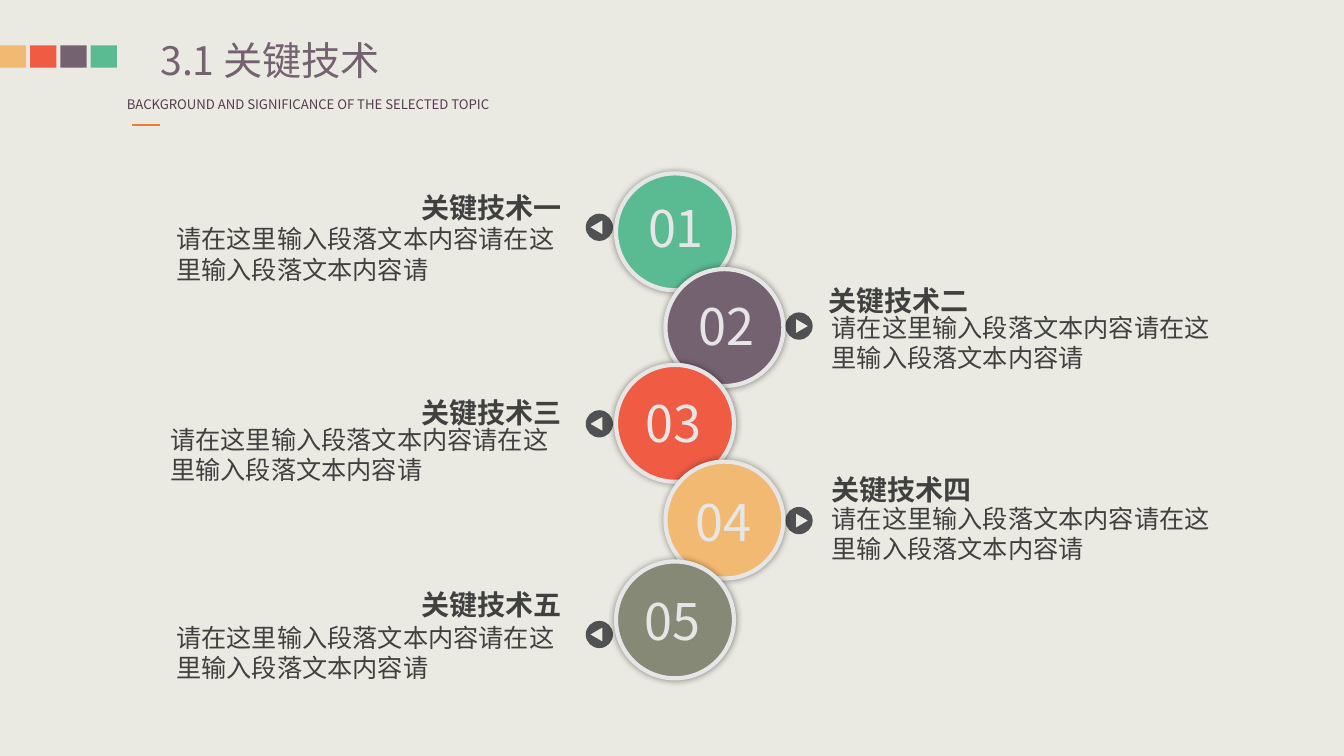
from dataclasses import dataclass

from lxml import etree
from pptx import Presentation
from pptx.dml.color import RGBColor
from pptx.enum.shapes import MSO_CONNECTOR, MSO_SHAPE
from pptx.enum.text import MSO_ANCHOR, MSO_AUTO_SIZE, PP_ALIGN
from pptx.oxml.ns import qn
from pptx.util import Inches, Pt

RECTANGLE = MSO_SHAPE.RECTANGLE
OVAL = MSO_SHAPE.OVAL
STRAIGHT = MSO_CONNECTOR.STRAIGHT
TOP = MSO_ANCHOR.TOP
NO_AUTOFIT = MSO_AUTO_SIZE.NONE
LEFT, CENTER, RIGHT = PP_ALIGN.LEFT, PP_ALIGN.CENTER, PP_ALIGN.RIGHT

BACKGROUND = RGBColor(0xEB, 0xEA, 0xE2)
GREEN = RGBColor(0x5A, 0xBB, 0x93)
PURPLE = RGBColor(0x75, 0x62, 0x71)
RED = RGBColor(0xEF, 0x5B, 0x43)
YELLOW = RGBColor(0xF2, 0xB9, 0x73)
OLIVE = RGBColor(0x85, 0x89, 0x76)
PLUM = RGBColor(0x54, 0x3C, 0x4F)
ORANGE = RGBColor(0xED, 0x7D, 0x31)
LIGHT = RGBColor(0xE7, 0xE6, 0xE6)
BADGE = RGBColor(0x50, 0x51, 0x53)
TEXT = RGBColor(0x40, 0x40, 0x40)

FONT = "Noto Sans CJK SC"
LINE_SPACING = 1.2
BODY = "请在这里输入段落文本内容请在这里输入段落文本内容请"
CIRCLE_WIDTH, CIRCLE_HEIGHT = 1.17, 1.16
BADGE_SIZE = 0.27
ARC_FACTOR = 0.55


@dataclass
class Technology:
    heading: str
    color: RGBColor
    circle_top: float
    number_offset: tuple
    badge_top: float
    heading_box: tuple
    body_box: tuple


TECHNOLOGIES = [
    Technology("关键技术一", GREEN, 1.72, (0.18, 0.19), 2.12,
               (2.13, 1.84, 3.54, 0.44), (1.65, 2.17, 4.1, 0.71)),
    Technology("关键技术二", PURPLE, 2.67, (0.19, 0.21), 3.1,
               (8.12, 2.76, 4.26, 0.44), (8.15, 3.05, 4.05, 0.71)),
    Technology("关键技术三", RED, 3.62, (0.16, 0.22), 4.07,
               (2.13, 3.87, 3.54, 0.44), (1.59, 4.16, 4.08, 0.71)),
    Technology("关键技术四", YELLOW, 4.58, (0.16, 0.24), 5.03,
               (8.15, 4.64, 3.82, 0.44), (8.15, 4.94, 4.05, 0.71)),
    Technology("关键技术五", OLIVE, 5.57, (0.15, 0.24), 6.16,
               (2.13, 5.78, 3.54, 0.44), (1.65, 6.12, 4.1, 0.71)),
]


def write_text(shape, text, size, color, align=LEFT, bold=False):
    frame = shape.text_frame
    frame.word_wrap = True
    frame.auto_size = NO_AUTOFIT
    frame.vertical_anchor = TOP
    frame.text = text
    paragraph = frame.paragraphs[0]
    paragraph.alignment = align
    paragraph.line_spacing = Pt(round(size * LINE_SPACING, 1))
    font = paragraph.font
    font.size = Pt(size)
    font.bold = bold
    font.color.rgb = color
    font.name = FONT
    defaults = paragraph._p.pPr.find(qn("a:defRPr"))
    etree.SubElement(defaults, qn("a:ea"), typeface=FONT)


def add_text(slide, box, text, size, color, **style):
    text_box = slide.shapes.add_textbox(*map(Inches, box))
    write_text(text_box, text, size, color, **style)


def add_filled_shape(slide, kind, box, color):
    shape = slide.shapes.add_shape(kind, *map(Inches, box))
    shape.shadow.inherit = False
    shape.fill.solid()
    shape.fill.fore_color.rgb = color
    shape.line.fill.background()
    return shape


def add_soft_shadow(shape):
    effects = shape._element.spPr.find(qn("a:effectLst"))
    shadow = etree.SubElement(effects, qn("a:outerShdw"), blurRad=str(Pt(5)),
                              dist="0", dir="0", rotWithShape="0")
    black = etree.SubElement(shadow, qn("a:srgbClr"), val="000000")
    etree.SubElement(black, qn("a:alpha"), val="40000")


def add_header(slide, left, top):
    for index, color in enumerate([YELLOW, RED, PURPLE, GREEN]):
        add_filled_shape(slide, RECTANGLE,
                         (left + 0.3 * index, top + 0.09, 0.26, 0.22), color)
    title = slide.shapes.title
    title.left, title.top = Inches(left + 1.59), Inches(top)
    title.width, title.height = Inches(3.99), Inches(0.47)
    write_text(title, "3.1 关键技术", 28, PURPLE)
    frame = title.text_frame
    frame.margin_left = frame.margin_right = 0
    frame.margin_top = frame.margin_bottom = 0
    add_text(slide, (left + 1.16, top + 0.55, 4.07, 0.26),
             "BACKGROUND AND SIGNIFICANCE OF THE SELECTED TOPIC", 9.4, PLUM)
    rule_top = Inches(top + 0.88)
    rule = slide.shapes.add_connector(STRAIGHT, Inches(left + 1.31), rule_top,
                                      Inches(left + 1.59), rule_top)
    rule.line.color.rgb = ORANGE
    rule.line.width = Pt(1.5)
    etree.SubElement(rule._element.spPr, qn("a:effectLst"))


def round_corners_to_circle(badge, radius):
    outline = badge._element.spPr.find(".//" + qn("a:path"))
    start = outline.find(qn("a:moveTo")).find(qn("a:pt"))
    for segment in outline.findall(qn("a:lnTo"))[:4]:
        end = segment.find(qn("a:pt"))
        curve = etree.Element(qn("a:cubicBezTo"))
        for near, far in [(start, end), (end, start)]:
            control = {axis: str(round(int(near.get(axis)) + ARC_FACTOR
                                       * (int(far.get(axis)) - radius)))
                       for axis in ("x", "y")}
            etree.SubElement(curve, qn("a:pt"), control)
        curve.append(end)
        outline.replace(segment, curve)
        start = end


def add_arrow_badge(slide, left, top, direction):
    radius = Inches(BADGE_SIZE / 2)
    center_x, center_y = Inches(left) + radius, Inches(top) + radius
    quarters = [(center_x + radius * x, center_y + radius * y)
                for x, y in [(1, 0), (0, 1), (-1, 0), (0, -1), (1, 0)]]
    arrow = [(center_x + Inches(direction * x), center_y + Inches(y))
             for x, y in [(0.09, 0), (-0.03, 0.07), (-0.03, -0.07)]]
    builder = slide.shapes.build_freeform(*quarters[0])
    builder.add_line_segments(quarters[1:])
    builder.move_to(*arrow[0])
    builder.add_line_segments(arrow[1:])
    badge = builder.convert_to_shape()
    round_corners_to_circle(badge, radius)
    badge.shadow.inherit = False
    badge.fill.solid()
    badge.fill.fore_color.rgb = BADGE
    badge.line.fill.background()


def add_number_circle(slide, left, technology, number):
    top = technology.circle_top
    circle = add_filled_shape(slide, OVAL, (left, top, CIRCLE_WIDTH, CIRCLE_HEIGHT),
                              technology.color)
    circle.line.color.rgb = LIGHT
    circle.line.width = Pt(3)
    add_soft_shadow(circle)
    offset_x, offset_y = technology.number_offset
    add_text(slide, (left + offset_x, top + offset_y, 0.83, 0.71),
             f"{number:02}", 36, LIGHT, align=CENTER)


def add_technology(slide, technology, number):
    on_left = number % 2 == 1
    add_arrow_badge(slide, 5.81 if on_left else 7.79, technology.badge_top,
                    -1 if on_left else 1)
    add_number_circle(slide, 6.11 if on_left else 6.6, technology, number)
    add_text(slide, technology.body_box, BODY, 18, TEXT)
    add_text(slide, technology.heading_box, technology.heading, 20, TEXT,
             align=RIGHT if on_left else LEFT, bold=True)


def main():
    presentation = Presentation()
    presentation.slide_width = Inches(13.33)
    presentation.slide_height = Inches(7.5)
    slide = presentation.slides.add_slide(presentation.slide_layouts[5])
    slide.background.fill.solid()
    slide.background.fill.fore_color.rgb = BACKGROUND
    add_header(slide, 0, 0.36)
    for number, technology in enumerate(TECHNOLOGIES, start=1):
        add_technology(slide, technology, number)
    presentation.save("out.pptx")


if __name__ == "__main__":
    main()
